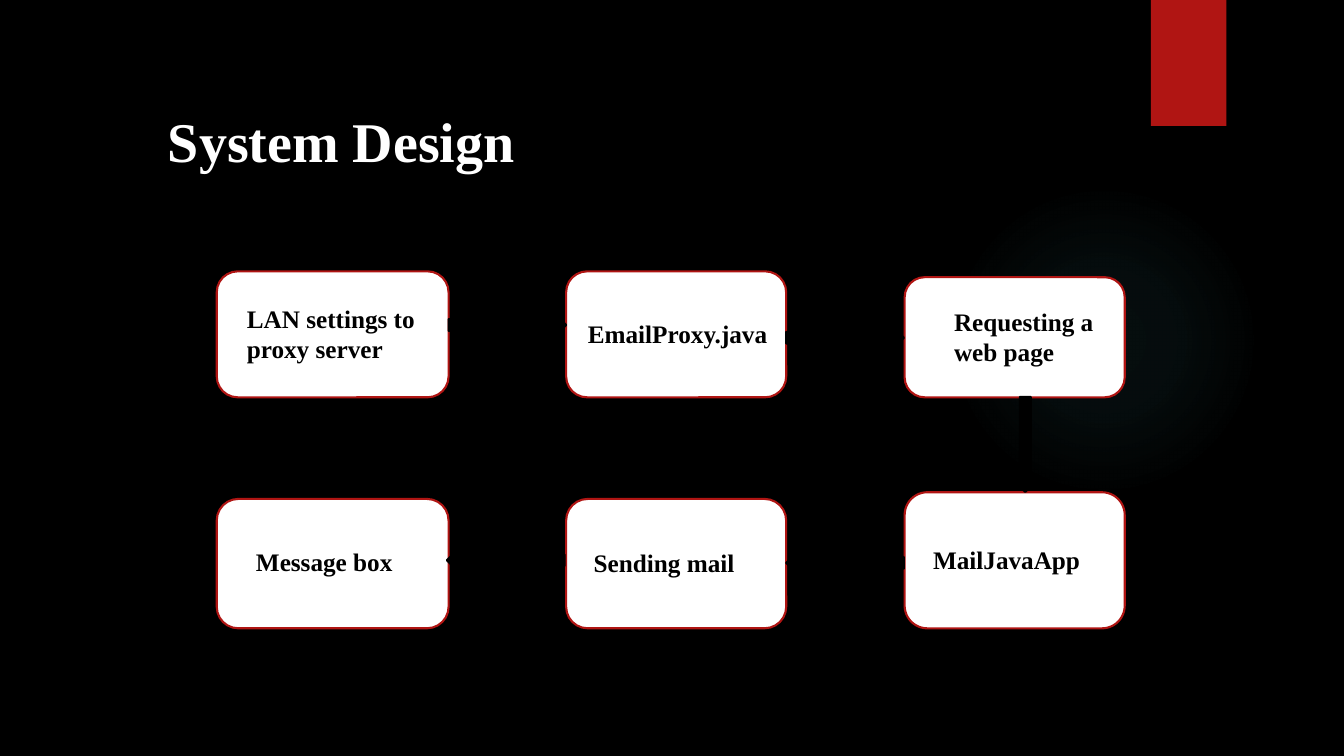
from lxml import etree
from pptx import Presentation
from pptx.dml.color import RGBColor
from pptx.enum.shapes import MSO_SHAPE
from pptx.enum.text import MSO_ANCHOR, MSO_AUTO_SIZE, PP_ALIGN
from pptx.oxml import parse_xml
from pptx.oxml.ns import qn
from pptx.util import Inches, Pt

COLORS = {"black": "000000", "white": "FFFFFF", "red": "B01513", "glow": "50B9C1"}
FONT = "Times New Roman"
COLUMNS, ROWS = 160, 90
DRAWING_NS = "http://schemas.openxmlformats.org/drawingml/2006/main"


def color(name):
    return RGBColor.from_string(COLORS[name])


def write(frame, text, size=18, ink="black", bold=True, anchor=MSO_ANCHOR.TOP):
    frame.word_wrap = True
    frame.auto_size = MSO_AUTO_SIZE.NONE
    frame.vertical_anchor = anchor
    paragraph = frame.paragraphs[0]
    paragraph.alignment = PP_ALIGN.LEFT
    run = paragraph.add_run()
    run.text = text
    run.font.name, run.font.size, run.font.bold = FONT, Pt(size), bold
    run.font.color.rgb = color(ink)


class DesignSlide:
    """Places elements by (column, row, columns wide, rows high) on the slide's grid."""

    def __init__(self, deck):
        self.column = deck.slide_width / COLUMNS
        self.row = deck.slide_height / ROWS
        self.slide = deck.slides.add_slide(deck.slide_layouts[5])
        background = self.slide.background.fill
        background.solid()
        background.fore_color.rgb = color("black")

    def place(self, left, top, width, height):
        return (round(left * self.column), round(top * self.row),
                round(width * self.column), round(height * self.row))

    def title(self, text, area):
        heading = self.slide.shapes.title
        heading.left, heading.top, heading.width, heading.height = self.place(*area)
        write(heading.text_frame, text, size=40, ink="white")

    def shape(self, kind, area, fill=None, line=None, rotation=0):
        shape = self.slide.shapes.add_shape(kind, *self.place(*area))
        shape.shadow.inherit = False
        shape.rotation = rotation
        if fill:
            shape.fill.solid()
            shape.fill.fore_color.rgb = color(fill)
        else:
            shape.fill.background()
        if line:
            shape.line.color.rgb = color(line)
            shape.line.width = Pt(1.5)
        else:
            shape.line.fill.background()
        return shape

    def glow(self, area, stops):
        """Add a disc that fades outwards; stops are (position %, opacity %)."""
        disc = self.shape(MSO_SHAPE.OVAL, area)
        gradient = parse_xml(
            f'<a:gradFill xmlns:a="{DRAWING_NS}" rotWithShape="1"><a:gsLst/>'
            '<a:path path="circle"><a:fillToRect l="50000" t="50000" r="50000" b="50000"/>'
            '</a:path></a:gradFill>')
        for position, opacity in stops:
            stop = etree.SubElement(gradient[0], qn("a:gs"), pos=str(position * 1000))
            tint = etree.SubElement(stop, qn("a:srgbClr"), val=COLORS["glow"])
            etree.SubElement(tint, qn("a:alpha"), val=str(opacity * 1000))
        properties = disc.element.spPr
        properties.replace(properties.find(qn("a:noFill")), gradient)

    def step(self, area):
        self.shape(MSO_SHAPE.ROUNDED_RECTANGLE, area, "white", "red")

    def label(self, text, area):
        write(self.slide.shapes.add_textbox(*self.place(*area)).text_frame, text)

    def arrow(self, area, rotation=0):
        self.shape(MSO_SHAPE.RIGHT_ARROW, area, "black", "black", rotation)


def main():
    deck = Presentation()
    deck.slide_width, deck.slide_height = Inches(13.33), Inches(7.5)
    design = DesignSlide(deck)

    design.glow((112.9, 22, 37, 37), [(0, 7), (36, 6), (69, 0)])
    design.shape(MSO_SHAPE.RECTANGLE, (137, 0, 9, 15), "red")
    design.title("System Design", (18.8, 12.1, 49.8, 9.2))

    # Each step column: left, width, then (top, height) of its upper and lower step
    step_columns = [
        (25.8, 27.6, [(32.3, 15), (59.4, 15.4)]),
        (67.4, 26.2, [(32.3, 15), (59.4, 15.4)]),
        (107.7, 26.2, [(33, 14.3), (58.6, 16.2)]),
    ]
    for left, width, spans in step_columns:
        for top, height in spans:
            design.step((left, top, width, height))

    one_line, two_lines = 4.8, 8.5
    labels = [
        ("LAN settings to proxy server", 28.2, 35.5, 22.8, two_lines),
        ("EmailProxy.java", 68.8, 37.3, 27.6, one_line),
        ("Requesting a web page", 112.4, 35.9, 21.5, two_lines),
        ("MailJavaApp", 109.9, 64.2, 23, one_line),
        ("Sending mail", 69.5, 64.6, 22.2, one_line),
        ("Message box", 29.3, 64.4, 23.9, one_line),
    ]
    for text, *area in labels:
        design.label(text, area)

    for left, top, rotation in [(53.4, 37.3, 0), (93.6, 38.8, 0),
                                (53.2, 65.3, 180), (93.6, 65.6, 180)]:
        design.arrow((left, top, 14, 2.8), rotation)
    design.arrow((116.4, 51.6, 11.3, 2.6), 90)

    deck.save("out.pptx")


if __name__ == "__main__":
    main()
